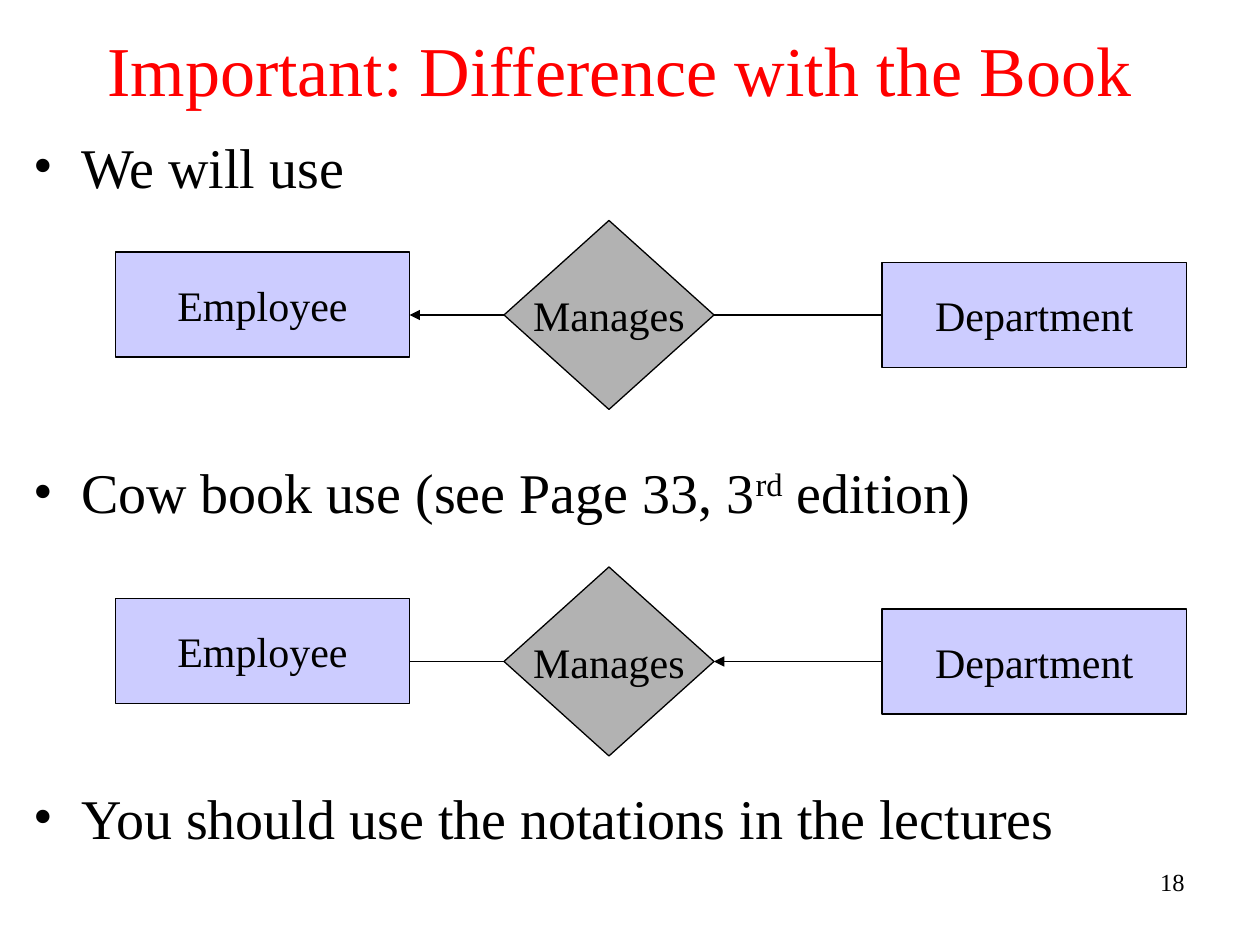
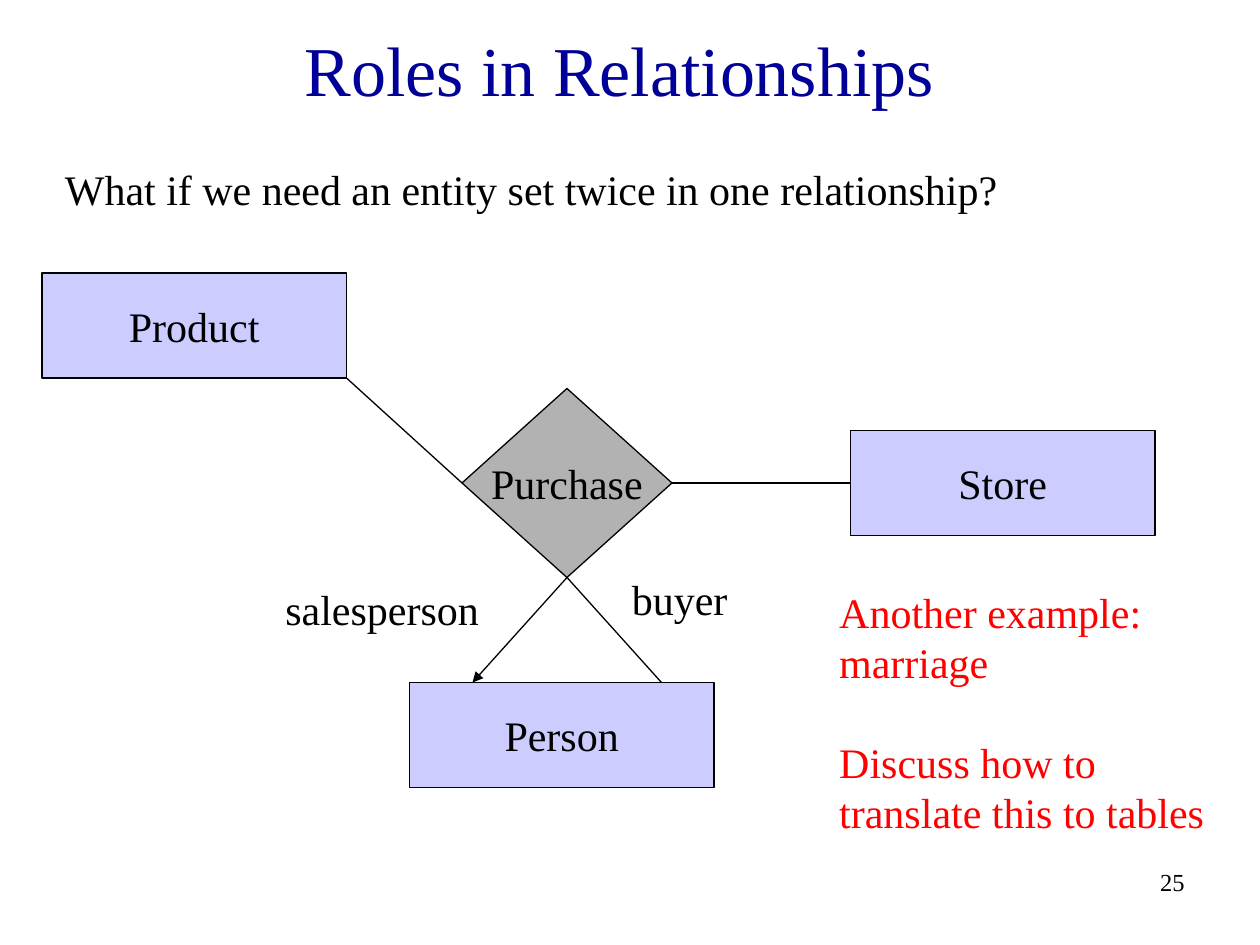
from pptx import Presentation
from pptx.dml.color import RGBColor as Rgb
from pptx.enum.shapes import MSO_CONNECTOR as Conn, MSO_SHAPE as Kind
from pptx.enum.text import MSO_ANCHOR as Anchor, PP_ALIGN as Align
from pptx.oxml.ns import qn
from pptx.util import Inches, Pt
from lxml.etree import SubElement as Sub

FONT = "Times New Roman"
HUES = {"ink": "000000", "navy": "000099", "red": "FF0000",
        "entity": "CCCCFF", "relation": "B2B2B2"}
WIDE, HIGH = Inches(10), Inches(7.5)
COLS, ROWS = 120, 90
ENT_W, ENT_H = 29, 10
DIA_W, DIA_H = 20, 18


def hue(name):
    return Rgb.from_string(HUES[name])


def place(x, y, w, h):
    """Turn grid cells into slide lengths."""
    return [round(n) for n in (x * WIDE / COLS, y * HIGH / ROWS,
                               w * WIDE / COLS, h * HIGH / ROWS)]


def style(frame, size, color="ink", align=Align.LEFT, wrap=True):
    frame.word_wrap = wrap
    for para in frame.paragraphs:
        para.alignment = align
        for run in para.runs:
            run.font.name, run.font.size = FONT, Pt(size)
            run.font.color.rgb = hue(color)


def write(slide, box, text, size=24, **look):
    frame = slide.shapes.add_textbox(*place(*box)).text_frame
    frame.text = text
    style(frame, size, **look)
    return frame


def node(slide, kind, fill, box, text):
    shape = slide.shapes.add_shape(kind, *place(*box))
    shape.shadow.inherit = False
    shape.fill.solid()
    shape.fill.fore_color.rgb = hue(fill)
    shape.line.color.rgb = hue("ink")
    shape.line.width = Pt(0.75)
    frame = shape.text_frame
    frame.text = text
    frame.vertical_anchor = Anchor.MIDDLE
    style(frame, 24, align=Align.CENTER, wrap=False)


def entity(slide, x, y, text, w=ENT_W):
    node(slide, Kind.RECTANGLE, "entity", (x, y, w, ENT_H), text)


def relate(slide, x, y, text):
    node(slide, Kind.DIAMOND, "relation", (x, y, DIA_W, DIA_H), text)


def link(slide, start, end, arrow=False, width=0.75):
    """Draw a line, with an optional arrowhead at its end."""
    line = slide.shapes.add_connector(
        Conn.STRAIGHT, *place(*start, *end))
    line.line.color.rgb = hue("ink")
    line.line.width = Pt(width)
    props = line._element.spPr
    if arrow:
        Sub(props.find(qn("a:ln")), qn("a:tailEnd"), type="triangle")
    Sub(props, qn("a:effectLst"))


def bullet(slide, box, *parts):
    """Write one bullet; every second part is raised."""
    frame = slide.shapes.add_textbox(*place(*box)).text_frame
    para = frame.paragraphs[0]
    props = para._p.get_or_add_pPr()
    props.set("marL", str(Inches(0.38)))
    props.set("indent", str(-Inches(0.38)))
    Sub(props, qn("a:buFont"), typeface=FONT)
    Sub(props, qn("a:buChar"), char="•")
    for i, part in enumerate(parts):
        run = para.add_run()
        run.text = part
        if i % 2:
            run._r.get_or_add_rPr().set("baseline", "30000")
    style(frame, 32)


def base(deck, title, color, number):
    """Add a slide with its title and page number."""
    slide = deck.slides.add_slide(deck.slide_layouts[6])
    frame = write(slide, (2, 2, 114, 9), title, 40,
                  color=color, align=Align.CENTER)
    frame.vertical_anchor = Anchor.MIDDLE
    write(slide, (89, 82, 25, 6), str(number), 14, align=Align.RIGHT)
    return slide


def manages(slide, x, y, to_emp):
    """Place an Employee - Manages - Department row."""
    emp_w, dia, dept = 28, x + 37, x + 73
    mid = y + DIA_H / 2
    entity(slide, x, y + 3, "Employee", emp_w)
    relate(slide, dia, y, "Manages")
    entity(slide, dept, y + 4, "Department")
    link(slide, (dia, mid), (x + emp_w, mid), to_emp, 1)
    link(slide, (dept, mid), (dia + DIA_W, mid), not to_emp, 1)


def roles(slide, x, y):
    """Place the Purchase diagram with its two Person roles."""
    dia, top = x + 40, y + 11
    mid, tip, low = top + DIA_H / 2, dia + DIA_W / 2, top + DIA_H
    store, person = x + 77, y + 39
    entity(slide, x, y, "Product")
    entity(slide, store, y + 15, "Store")
    entity(slide, x + 35, person, "Person")
    relate(slide, dia, top, "Purchase")
    link(slide, (x + ENT_W, y + ENT_H), (dia, mid))
    link(slide, (dia + DIA_W, mid), (store, mid))
    link(slide, (tip, low), (tip - 9, person), True)
    link(slide, (tip, low), (tip + 9, person))
    write(slide, (x + 22, low, 22, 6), "salesperson")
    write(slide, (x + 55, low - 1, 13, 6), "buyer")


def book(deck):
    slide = base(deck, "Important: Difference with the Book", "red", 18)
    points = [("We will use",),
              ("Cow book use (see Page 33, 3", "rd", " edition)"),
              ("You should use the notations in the lectures",)]
    for i, parts in enumerate(points):
        bullet(slide, (2, 12 + 31 * i, 114, 8), *parts)
    for y, to_emp in ((21, True), (54, False)):
        manages(slide, 11, y, to_emp)


def twice(deck):
    slide = base(deck, "Roles in Relationships", "navy", 25)
    write(slide, (5, 15, 93, 6),
          "What if we need an entity set twice in one relationship?")
    roles(slide, 4, 26)
    # Red note beside the diagram
    note = write(slide, (78.75, 55.25, 41, 25),
                 "Another example:\nmarriage\n"
                 "Discuss how to translate this to tables", color="red")
    note.paragraphs[2].space_before = Pt(28)


def main():
    deck = Presentation()
    deck.slide_width, deck.slide_height = WIDE, HIGH
    book(deck)
    twice(deck)
    deck.save("out.pptx")


if __name__ == "__main__":
    main()
